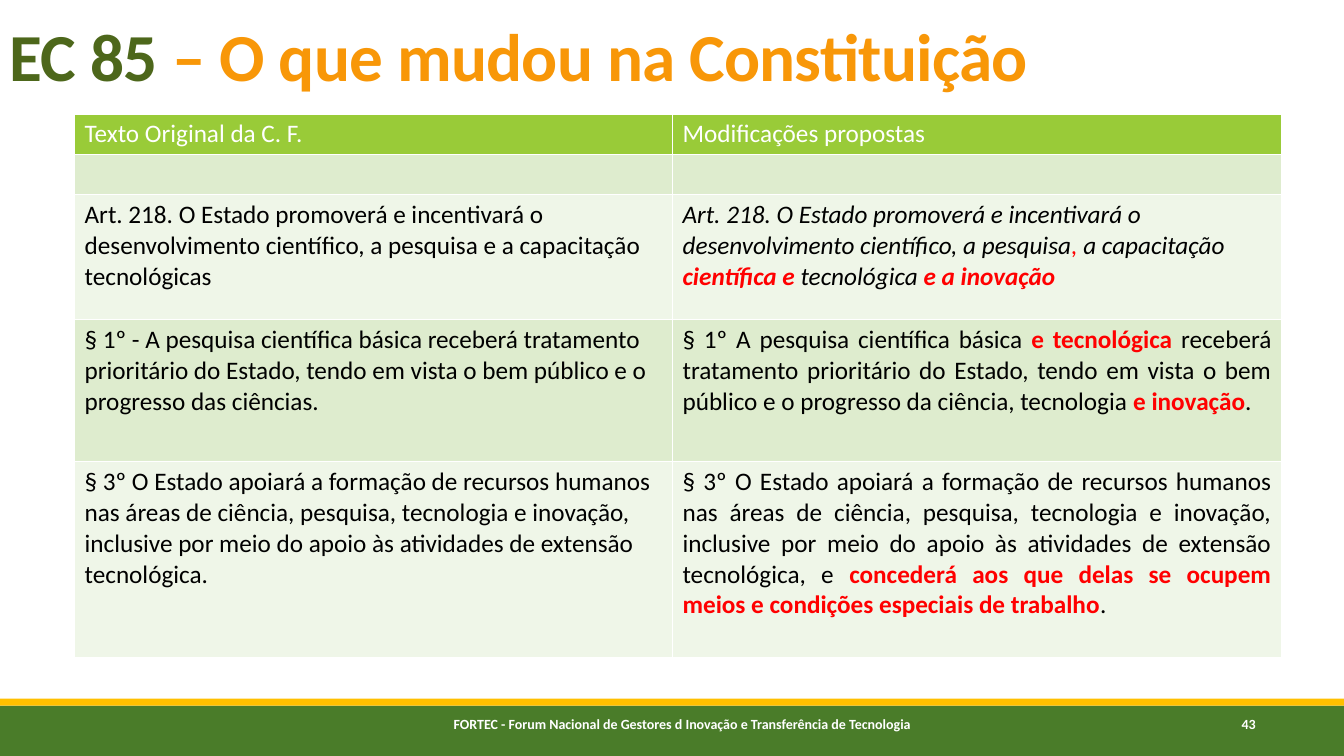
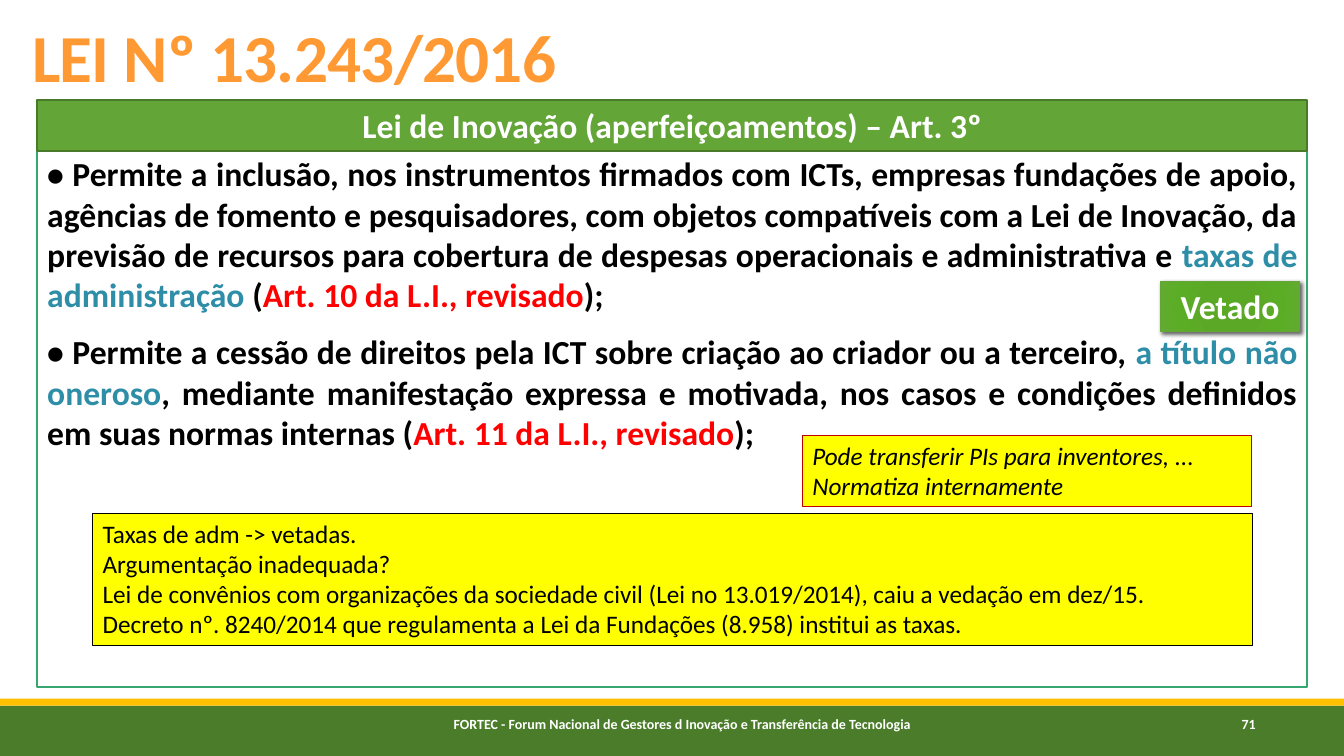
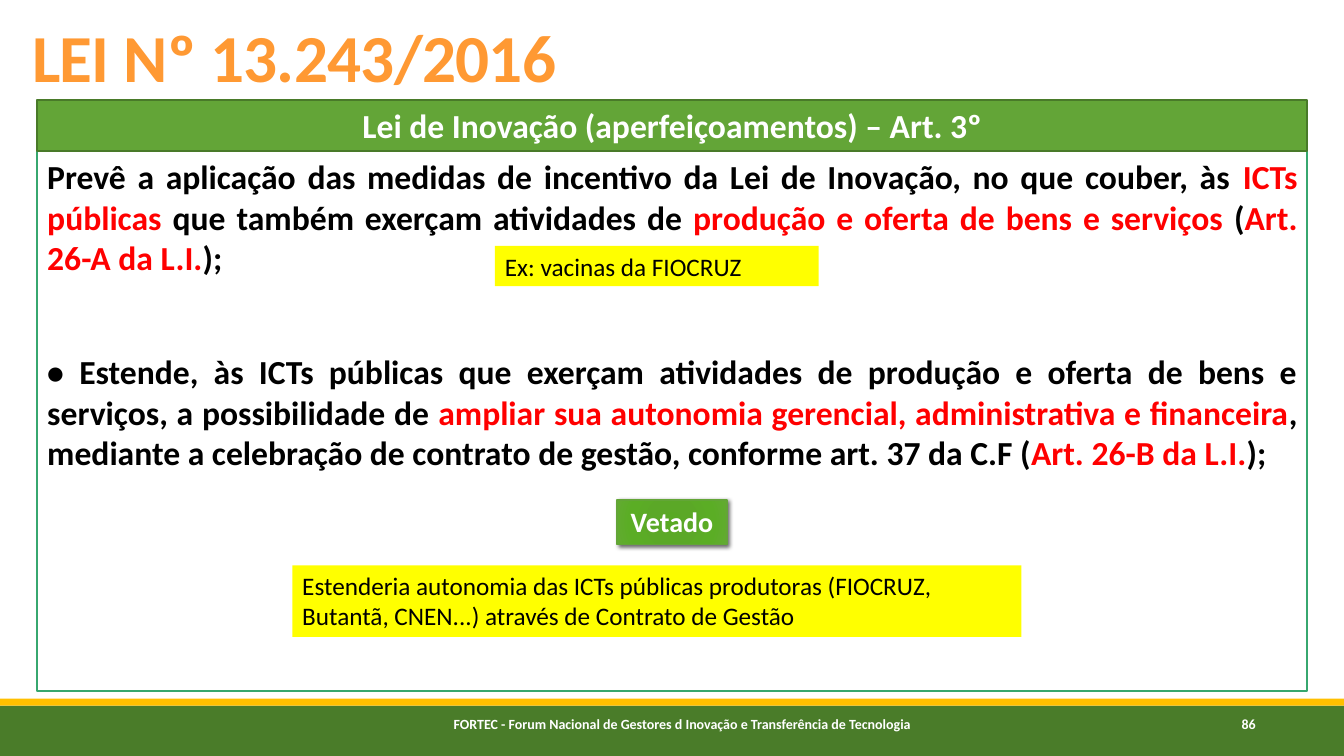
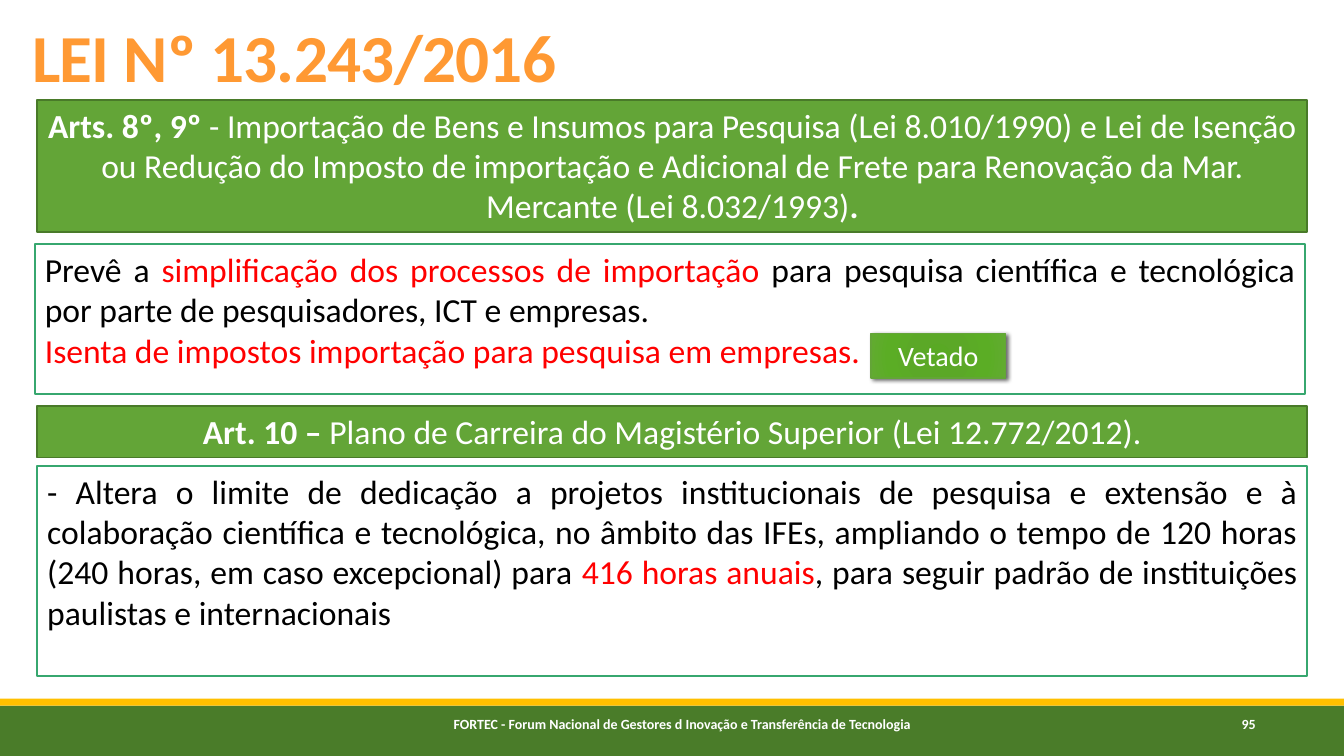
from dataclasses import dataclass
from typing import NamedTuple, Optional, Union

from pptx import Presentation
from pptx.dml.color import RGBColor
from pptx.enum.shapes import MSO_SHAPE
from pptx.enum.text import MSO_ANCHOR, PP_ALIGN
from pptx.oxml import parse_xml
from pptx.oxml.ns import nsdecls, qn
from pptx.util import Emu, Inches, Pt

WIDTH, HEIGHT = Inches(13.33), Inches(7.5)
FONT = "Calibri"
BLACK, WHITE, RED, TEAL = "000000", "FFFFFF", "FF0000", "2E8EA8"
ORANGE, AMBER, OLIVE = "FF9933", "F89708", "4D671B"
BAND, STRIPE = "4A7C29", "FFC000"
HEADING, HEADING_LINE, BODY_LINE = "63A537", "497A29", "37A76F"
NOTE, NOTE_LINE = "FFFF00", "C00000"
TABLE_HEAD, TABLE_DARK, TABLE_LIGHT = "99CB38", "DEECCE", "EFF6E8"
STAMP_STOPS = ((0, "59A924"), (34, "5BA827"), (70, "5BAD25"), (100, "62AB31"))

LEFT, CONTENT_WIDTH = 2.78, 94.5
HEADING_TOP, HEADING_HEIGHT = 13.2, 6.8
FOOTER = "FORTEC - Forum Nacional de Gestores d Inovação e Transferência de Tecnologia"
LAW_TITLE = "LEI Nº 13.243/2016"
ART_3 = "Lei de Inovação (aperfeiçoamentos) – Art. 3º"


class Box(NamedTuple):
    """Left, top, width and height in percent of the slide's size."""
    left: float
    top: float
    width: float
    height: float

    def emu(self) -> tuple[Emu, ...]:
        sides = (WIDTH, HEIGHT, WIDTH, HEIGHT)
        return tuple(Emu(round(side * share / 100)) for share, side in zip(self, sides))


@dataclass(frozen=True)
class Run:
    """A stretch of text; None keeps the format of its paragraph."""
    text: str
    color: Optional[str] = None
    bold: Optional[bool] = None
    italic: Optional[bool] = None


Line = list[Union[str, Run]]


def red(text: str, **fmt) -> Run:
    return Run(text, RED, **fmt)


def teal(text: str) -> Run:
    return Run(text, TEAL)


def rgb(color: str) -> RGBColor:
    return RGBColor.from_string(color)


def write(tf, lines: list[Line], *, size: float = 18, color: str = BLACK, bold: bool = False,
          italic: bool = False, align=PP_ALIGN.LEFT, anchor=MSO_ANCHOR.TOP, gap: float = 0,
          leading: float = 1.0, tracking: float = 0) -> None:
    """Fill a text frame, one paragraph per line, with gap points between them."""
    tf.word_wrap = True
    tf.vertical_anchor = anchor
    for i, line in enumerate(lines):
        p = tf.add_paragraph() if i else tf.paragraphs[0]
        p.alignment, p.line_spacing = align, leading
        if i and gap:
            p.space_before = Pt(gap)
        for part in line:
            run = part if isinstance(part, Run) else Run(part)
            r = p.add_run()
            r.text = run.text
            font = r.font
            font.name, font.size = FONT, Pt(size)
            font.bold = bold if run.bold is None else run.bold
            font.italic = italic if run.italic is None else run.italic
            font.color.rgb = rgb(run.color or color)
            if tracking:
                r._r.get_or_add_rPr().set("spc", str(round(tracking * 100)))


def add_text(s, box: Box, lines: list[Line], **fmt) -> None:
    write(s.shapes.add_textbox(*box.emu()).text_frame, lines, **fmt)


def add_rect(s, box: Box, fill: str, line: Optional[str] = None, weight: float = 1.25):
    sp = s.shapes.add_shape(MSO_SHAPE.RECTANGLE, *box.emu())
    sp.shadow.inherit = False
    sp.fill.solid()
    sp.fill.fore_color.rgb = rgb(fill)
    if line:
        sp.line.color.rgb = rgb(line)
        sp.line.width = Pt(weight)
    else:
        sp.line.fill.background()
    return sp


def add_heading(s, line: Line, top: float = HEADING_TOP, height: float = HEADING_HEIGHT,
                bold: bool = True) -> None:
    sp = add_rect(s, Box(LEFT, top, CONTENT_WIDTH, height), HEADING, HEADING_LINE)
    write(sp.text_frame, [line], size=24, color=WHITE, bold=bold, align=PP_ALIGN.CENTER)


def add_body(s, lines: list[Line], top: float, height: float, left: float = LEFT, **fmt) -> None:
    sp = add_rect(s, Box(left, top, CONTENT_WIDTH, height), WHITE, BODY_LINE)
    write(sp.text_frame, lines, size=24, align=PP_ALIGN.JUSTIFY, **fmt)


def add_note(s, box: Box, lines: list[Line], line: Optional[str] = None, **fmt) -> None:
    write(add_rect(s, box, NOTE, line, 0.75).text_frame, lines, **fmt)


def add_stamp(s, box: Box, size: float = 20, bold: bool = True) -> None:
    """Draw the "Vetado" label with its radial gradient and drop shadow."""
    sp = add_rect(s, box, HEADING, HEADING, 1)
    spPr = sp._element.spPr
    stops = "".join(f'<a:gs pos="{pos * 1000}"><a:srgbClr val="{color}"/></a:gs>'
                    for pos, color in STAMP_STOPS)
    spPr.replace(spPr.find(qn("a:solidFill")), parse_xml(
        f'<a:gradFill {nsdecls("a")} rotWithShape="1"><a:gsLst>{stops}</a:gsLst>'
        '<a:path path="circle"><a:fillToRect l="100000" t="100000" r="100000" b="100000"/>'
        '</a:path></a:gradFill>'))
    spPr.find(qn("a:effectLst")).append(parse_xml(
        f'<a:outerShdw {nsdecls("a")} blurRad="{Pt(3)}" dist="{Pt(2)}" dir="2700000" '
        'algn="tl" rotWithShape="0"><a:srgbClr val="000000"><a:alpha val="60000"/>'
        '</a:srgbClr></a:outerShdw>'))
    write(sp.text_frame, [["Vetado"]], size=size, color=WHITE, bold=bold,
          align=PP_ALIGN.CENTER)


def add_comparison(s, left: float, top: float, cols: list[float], heights: list[float],
                   rows: list[tuple[Line, Line]], justified_from: int) -> None:
    """Draw the two-column table; later rows justify their right cell."""
    box = Box(left, top, sum(cols), sum(heights))
    table = s.shapes.add_table(len(rows), len(cols), *box.emu()).table
    for col, width in zip(table.columns, cols):
        col.width = Emu(round(WIDTH * width / 100))
    for i, (row, height) in enumerate(zip(rows, heights)):
        table.rows[i].height = Emu(round(HEIGHT * height / 100))
        for j, line in enumerate(row):
            cell = table.cell(i, j)
            cell.fill.solid()
            fill = TABLE_HEAD if i == 0 else TABLE_DARK if i % 2 else TABLE_LIGHT
            cell.fill.fore_color.rgb = rgb(fill)
            justified = j == 1 and i >= justified_from
            write(cell.text_frame, [line], color=BLACK if i else WHITE,
                  align=PP_ALIGN.JUSTIFY if justified else PP_ALIGN.LEFT)


def add_slide(prs, number: int, title: Line, title_box: Box = Box(1.65, 1.87, 89.87, 11.47)):
    """Add a blank slide with the shared bands, footer and title."""
    s = prs.slides.add_slide(prs.slide_layouts[6])
    add_rect(s, Box(0, 93.33, 100, 6.67), BAND)
    add_rect(s, Box(0, 92.4, 100, 0.93), STRIPE)
    for left, width, text in ((21.9, 57.69, FOOTER), (87.47, 10.88, str(number))):
        add_text(s, Box(left, 94, width, 5.33), [[text]], size=10, color=WHITE, bold=True,
                 align=PP_ALIGN.CENTER)
    add_text(s, title_box, [title], size=48, color=ORANGE, bold=True,
             anchor=MSO_ANCHOR.BOTTOM, leading=0.85, tracking=-0.5)
    return s


def constitution_slide(prs) -> None:
    title = [Run("EC 85 ", OLIVE), Run("– O que mudou na Constituição", AMBER)]
    s = add_slide(prs, 43, title, Box(0, 0, 95.5, 13.2))
    rows = [
        (["Texto Original da C. F."], ["Modificações propostas"]),
        ([], []),
        (["Art. 218. O Estado promoverá e incentivará o desenvolvimento científico, "
          "a pesquisa e a capacitação tecnológicas"],
         [Run("Art. 218. O Estado promoverá e incentivará o desenvolvimento científico, "
              "a pesquisa", italic=True),
          red(",", italic=True), Run(" a capacitação ", italic=True),
          red("científica e", bold=True, italic=True), Run(" tecnológica ", italic=True),
          red("e a inovação", bold=True, italic=True)]),
        (["§ 1º - A pesquisa científica básica receberá tratamento prioritário do Estado, "
          "tendo em vista o bem público e o progresso das ciências."],
         ["§ 1º A pesquisa científica básica ", red("e tecnológica ", bold=True),
          "receberá tratamento prioritário do Estado, tendo em vista o bem público e o "
          "progresso da ciência, tecnologia ", red("e inovação", bold=True), "."]),
        (["§ 3º O Estado apoiará a formação de recursos humanos nas áreas de ciência, "
          "pesquisa, tecnologia e inovação, inclusive por meio do apoio às atividades de "
          "extensão tecnológica."],
         ["§ 3º O Estado apoiará a formação de recursos humanos nas áreas de ciência, "
          "pesquisa, tecnologia e inovação, inclusive por meio do apoio às atividades de "
          "extensão tecnológica, e ",
          red("concederá aos que delas se ocupem meios e condições especiais de trabalho",
              bold=True), "."]),
    ]
    add_comparison(s, 5.55, 15.07, [44.49, 45.31], [5.07, 5.07, 16.53, 18.8, 25.87], rows,
                   justified_from=3)


def fees_slide(prs) -> None:
    s = add_slide(prs, 71, [LAW_TITLE])
    add_body(s, [
        ["• Permite a inclusão, nos instrumentos firmados com ICTs, empresas fundações de "
         "apoio, agências de fomento e pesquisadores, com objetos compatíveis com a Lei de "
         "Inovação, da previsão de recursos para cobertura de despesas operacionais e "
         "administrativa e ", teal("taxas de administração "), "(",
         red("Art. 10 da L.I., revisado"), ");"],
        ["• Permite a cessão de direitos pela ICT sobre criação ao criador ou a terceiro, ",
         teal("a título não oneroso"),
         ", mediante manifestação expressa e motivada, nos casos e condições definidos em "
         "suas normas internas (", red("Art. 11 da L.I., revisado"), ");"],
    ], top=19.6, height=71.33, bold=True, gap=12)
    add_heading(s, [ART_3])
    add_note(s, Box(6.9, 67.87, 86.27, 17.47), [
        ["Taxas de adm -> vetadas."],
        ["Argumentação inadequada?"],
        ["Lei de convênios com organizações da sociedade civil (Lei no 13.019/2014), "
         "caiu a vedação em dez/15."],
        ["Decreto nº. 8240/2014 que regulamenta a Lei da Fundações (8.958) institui as taxas."],
    ], BLACK)
    add_note(s, Box(59.7, 57.6, 33.4, 9.47), [
        ["Pode transferir PIs para inventores, ..."],
        ["Normatiza internamente"],
    ], NOTE_LINE, italic=True)
    add_stamp(s, Box(86.35, 37.2, 10.35, 6.67), size=24)


def autonomy_slide(prs) -> None:
    s = add_slide(prs, 86, [LAW_TITLE])
    add_body(s, [
        ["Prevê a aplicação das medidas de incentivo da Lei de Inovação, no que couber, às ",
         red("ICTs públicas "), "que também exerçam atividades de ",
         red("produção e oferta de bens e serviços"), " (", red("Art. 26-A da L.I."), ");"],
        ["• Estende, às ICTs públicas que exerçam atividades de produção e oferta de bens e "
         "serviços, a possibilidade de ",
         red("ampliar sua autonomia gerencial, administrativa e financeira"),
         ", mediante a celebração de contrato de gestão, conforme art. 37 da C.F (",
         red("Art. 26-B da L.I."), ");"],
    ], top=20, height=71.4, bold=True, gap=53)
    add_heading(s, [ART_3])
    add_note(s, Box(36.83, 32.53, 24.08, 5.33), [["Ex: vacinas da FIOCRUZ"]])
    add_note(s, Box(21.75, 74.8, 54.24, 9.47), [
        ["Estenderia autonomia das ICTs públicas produtoras (FIOCRUZ, Butantã, CNEN...) "
         "através de Contrato de Gestão"]])
    add_stamp(s, Box(45.91, 66.13, 8.18, 5.87))


def imports_slide(prs) -> None:
    s = add_slide(prs, 95, [LAW_TITLE])
    add_body(s, [
        ["Prevê a ", red("simplificação dos processos de importação "),
         "para pesquisa científica e tecnológica por parte de pesquisadores, ICT e empresas."],
        [red("Isenta de impostos importação para pesquisa em empresas.")],
    ], top=32.27, height=19.87, left=2.6)
    add_heading(s, [
        Run("Arts. 8º, 9º ", bold=True),
        "- Importação de Bens e Insumos para Pesquisa (Lei 8.010/1990) e Lei de Isenção ou "
        "Redução do Imposto de importação e Adicional de Frete para Renovação da Mar. "
        "Mercante (Lei 8.032/1993)", Run(".", bold=True),
    ], height=17.47, bold=False)
    add_heading(s, [
        Run("Art. 10 – ", bold=True),
        "Plano de Carreira do Magistério Superior (Lei 12.772/2012).",
    ], top=53.73, bold=False)
    add_body(s, [
        ["- Altera o limite de dedicação a projetos institucionais de pesquisa e extensão e à "
         "colaboração científica e tecnológica, no âmbito das IFEs, ampliando o tempo de 120 "
         "horas (240 horas, em caso excepcional) para ", red("416 horas anuais"),
         ", para seguir padrão de instituições paulistas e internacionais"],
    ], top=61.6, height=27.87)
    add_stamp(s, Box(64.82, 44.13, 9.98, 5.87), bold=False)


def main() -> None:
    prs = Presentation()
    prs.slide_width, prs.slide_height = WIDTH, HEIGHT
    for build in (constitution_slide, fees_slide, autonomy_slide, imports_slide):
        build(prs)
    prs.save("out.pptx")


if __name__ == "__main__":
    main()
